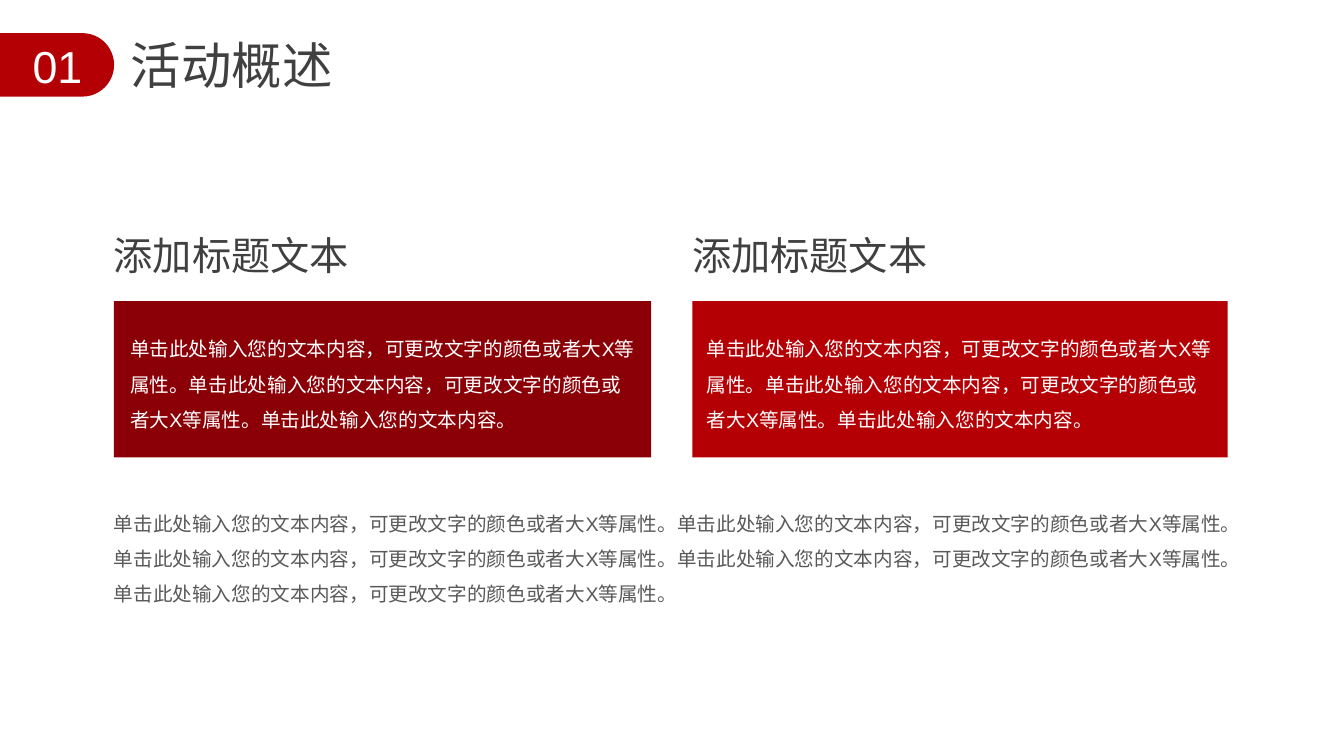
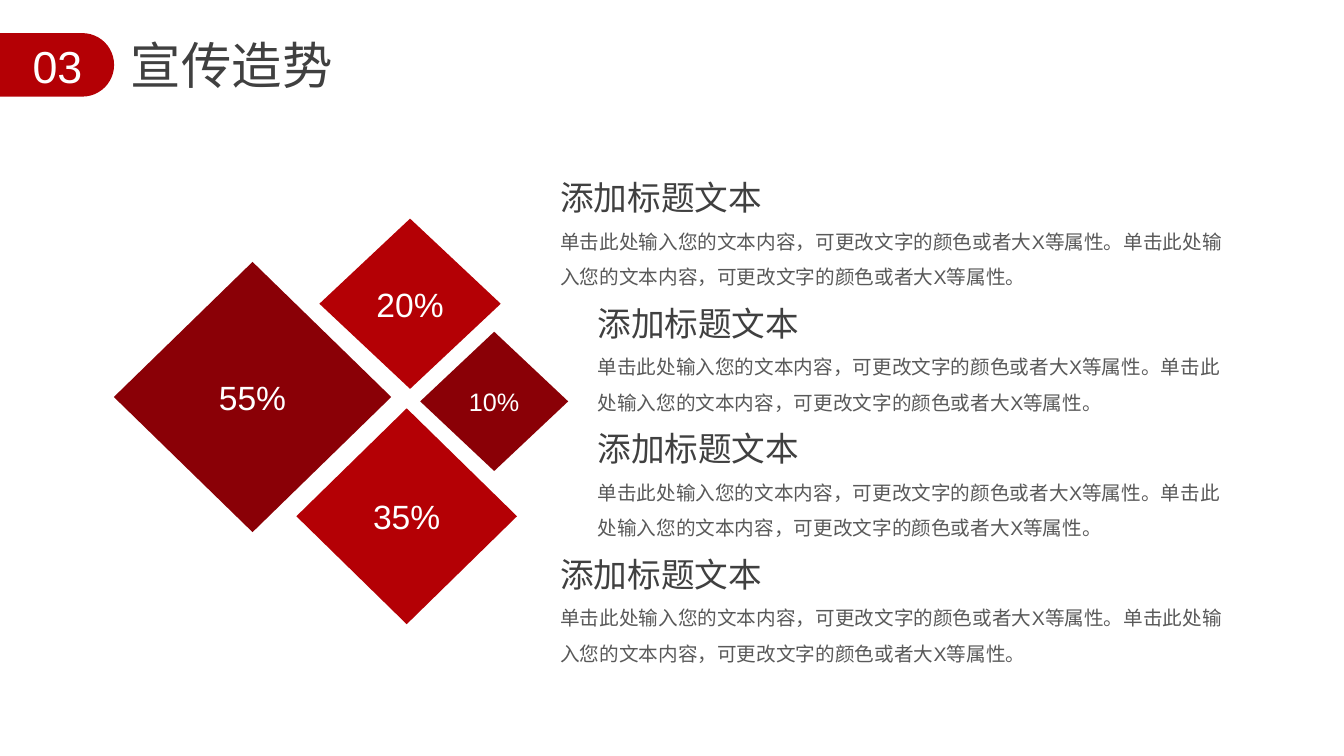
"""Build two slides of an event plan: an overview and a publicity breakdown."""
from pptx import Presentation
from pptx.dml.color import RGBColor
from pptx.enum.shapes import MSO_SHAPE
from pptx.enum.text import MSO_ANCHOR, MSO_AUTO_SIZE, PP_ALIGN
from pptx.util import Cm, Pt

RED = RGBColor(0xB4, 0x00, 0x05)
DARK_RED = RGBColor(0x8A, 0x00, 0x06)
WHITE = RGBColor(0xFF, 0xFF, 0xFF)
TITLE_GREY = RGBColor(0x40, 0x40, 0x40)
BODY_GREY = RGBColor(0x59, 0x59, 0x59)
FONT = "Arial"

LEFT, CENTER = PP_ALIGN.LEFT, PP_ALIGN.CENTER
TOP, MIDDLE = MSO_ANCHOR.TOP, MSO_ANCHOR.MIDDLE
NO_AUTOFIT = MSO_AUTO_SIZE.NONE
RECTANGLE = MSO_SHAPE.RECTANGLE
DIAMOND = MSO_SHAPE.FLOWCHART_DECISION
ROUND_TAB = MSO_SHAPE.ROUND_2_SAME_RECTANGLE

TITLE_ONLY = 5
MARGIN = 2.87
TAB_LENGTH, TAB_THICKNESS, TAB_TOP = 2.87, 1.6, 0.84

HEADING = "添加标题文本"
SENTENCE = "单击此处输入您的文本内容，可更改文字的颜色或者大X等属性。"
PANEL_TEXT = SENTENCE * 2 + "单击此处输入您的文本内容。"
SUMMARY = SENTENCE * 5
TOPIC_TEXT = SENTENCE * 2

PANELS = [
    {"left": MARGIN, "width": 13.54, "text_left": 3.28, "fill": DARK_RED},
    {"left": 17.45, "width": 13.49, "text_left": 17.81, "fill": RED},
]
SHARES = [
    ("20%", 24, RED, (8.05, 5.51, 4.57, 4.29)),
    ("35%", 24, RED, (7.47, 10.29, 5.56, 5.44)),
    ("55%", 24, DARK_RED, (MARGIN, 6.6, 6.99, 6.81)),
    ("10%", 18, DARK_RED, (10.59, 8.36, 3.73, 3.51)),
]
TOPIC_LEFTS = [14.12, 15.06, 15.06, 14.12]
TOPIC_TOP, TOPIC_PITCH, TOPIC_RIGHT = 4.47, 3.16, 30.89
TOPIC_HEADING_HEIGHT = 1.03


def lengths(area):
    """Turn left, top, width and height in centimetres into lengths."""
    return [Cm(round(value, 2)) for value in area]


def write(frame, text, size, color, align=LEFT, spacing=None):
    """Put one formatted run into the first paragraph of a frame."""
    frame.word_wrap = True
    para = frame.paragraphs[0]
    para.alignment = align
    if spacing:
        para.line_spacing = spacing
    span = para.add_run()
    span.text = text
    span.font.name = FONT
    span.font.size = Pt(size)
    span.font.color.rgb = color


def clear_margins(frame):
    """Anchor a frame at the top without insets."""
    frame.margin_left = frame.margin_top = 0
    frame.margin_right = frame.margin_bottom = 0
    frame.vertical_anchor = TOP
    frame.auto_size = NO_AUTOFIT


def add_text(page, area, text, size, color, align=LEFT, spacing=None):
    """Add a text box without insets."""
    box = page.shapes.add_textbox(*lengths(area))
    clear_margins(box.text_frame)
    write(box.text_frame, text, size, color, align, spacing)


def add_body(page, area, text, color=BODY_GREY):
    """Add a paragraph in the shared body style."""
    add_text(page, area, text, 14, color, spacing=1.5)


def add_block(page, kind, area, fill):
    """Add a flat filled shape without an outline."""
    block = page.shapes.add_shape(kind, *lengths(area))
    block.shadow.inherit = False
    block.fill.solid()
    block.fill.fore_color.rgb = fill
    block.line.fill.background()
    return block


def add_page(deck, number, title):
    """Add a slide with the numbered tab and the title."""
    page = deck.slides.add_slide(deck.slide_layouts[TITLE_ONLY])
    offset = (TAB_LENGTH - TAB_THICKNESS) / 2
    tab = add_block(page, ROUND_TAB,
                    (offset, TAB_TOP - offset, TAB_THICKNESS, TAB_LENGTH), RED)
    tab.rotation = 90
    tab.adjustments[0] = 0.5
    tab.adjustments[1] = 0
    add_text(page, (0.61, 0.97, 1.68, 1.37), number, 32, WHITE, CENTER)
    heading = page.shapes.title
    heading.left, heading.top, heading.width, heading.height = lengths(
        (3.3, 0.86, 5.56, 1.55))
    clear_margins(heading.text_frame)
    write(heading.text_frame, title, 36, TITLE_GREY)
    return page


def build_overview(deck):
    """Show two headed panels above a summary."""
    page = add_page(deck, "01", "活动概述")
    for panel in PANELS:
        left, width = panel["left"], panel["width"]
        add_block(page, RECTANGLE, (left, 7.59, width, 3.94), panel["fill"])
        add_text(page, (left, 5.82, 6.35, 1.19), HEADING, 28, TITLE_GREY)
        add_body(page, (panel["text_left"], 8.2, 12.75, 2.69), PANEL_TEXT, WHITE)
    add_body(page, (MARGIN, 12.6, 28.07, 2.69), SUMMARY)


def build_publicity(deck):
    """Show four shares as diamonds beside four topics."""
    page = add_page(deck, "03", "宣传造势")
    for label, size, fill, area in SHARES:
        diamond = add_block(page, DIAMOND, area, fill)
        diamond.text_frame.vertical_anchor = MIDDLE
        write(diamond.text_frame, label, size, WHITE, CENTER)
    for index, left in enumerate(TOPIC_LEFTS):
        top = TOPIC_TOP + index * TOPIC_PITCH
        add_text(page, (left, top, 5.49, TOPIC_HEADING_HEIGHT), HEADING, 24, TITLE_GREY)
        add_body(page, (left, top + TOPIC_HEADING_HEIGHT, TOPIC_RIGHT - left, 1.8),
                 TOPIC_TEXT)


def main():
    """Build and save the deck."""
    deck = Presentation()
    deck.slide_width, deck.slide_height = Cm(33.87), Cm(19.05)
    build_overview(deck)
    build_publicity(deck)
    deck.save("out.pptx")


if __name__ == "__main__":
    main()
